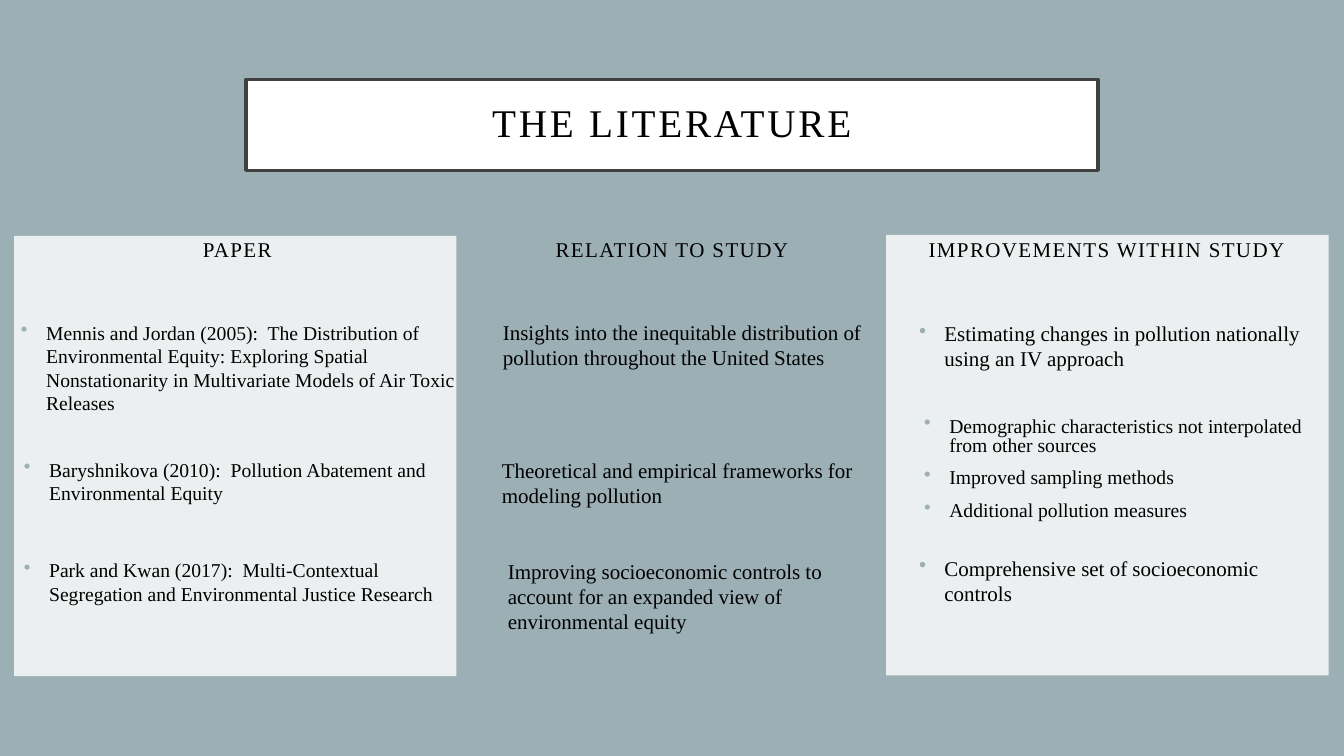
from dataclasses import dataclass

from lxml import etree
from pptx import Presentation
from pptx.dml.color import RGBColor
from pptx.enum.shapes import MSO_SHAPE
from pptx.enum.text import MSO_ANCHOR, PP_ALIGN
from pptx.oxml.ns import qn
from pptx.util import Inches, Pt

RECT = MSO_SHAPE.RECTANGLE
CENTER, LEFT = PP_ALIGN.CENTER, PP_ALIGN.LEFT
TOP, MIDDLE, BOTTOM = MSO_ANCHOR.TOP, MSO_ANCHOR.MIDDLE, MSO_ANCHOR.BOTTOM
COLS, ROWS = 96, 54


@dataclass(frozen=True)
class Theme:
    font: str = "Times New Roman"
    back: str = "9BAFB5"
    panel: str = "EBEFF0"
    white: str = "FFFFFF"
    edge: str = "404040"
    ink: str = "000000"
    title: int = 28
    large: int = 15
    small: int = 14


class Deck:
    """Draw styled elements on one slide, placed by columns and rows."""

    def __init__(self, theme):
        self.theme = theme
        self.show = Presentation()
        self.show.slide_width = Inches(13.33)
        self.show.slide_height = Inches(7.5)
        self.slide = self.show.slides.add_slide(self.show.slide_layouts[6])
        self.paint(self.slide.background.fill, theme.back)

    def paint(self, fill, color):
        fill.solid()
        fill.fore_color.rgb = RGBColor.from_string(color)

    def cells(self, x, y, w, h):
        col = self.show.slide_width / COLS
        row = self.show.slide_height / ROWS
        return [round(n) for n in (x * col, y * row, w * col, h * row)]

    def block(self, box, color):
        shape = self.slide.shapes.add_shape(RECT, *self.cells(*box))
        shape.shadow.inherit = False
        self.paint(shape.fill, color)
        shape.line.fill.background()
        return shape

    def run(self, para, text, size, track=0):
        run = para.add_run()
        run.text = text
        font = run.font
        font.name = self.theme.font
        font.size = Pt(size)
        font.color.rgb = RGBColor.from_string(self.theme.ink)
        if track:
            font._element.set("spc", str(track * 100))

    def title(self, box, text):
        shape = self.block(box, self.theme.white)
        self.paint(shape.line.fill, self.theme.edge)
        shape.line.width = Pt(2.5)
        frame = shape.text_frame
        frame.word_wrap = True
        frame.vertical_anchor = MIDDLE
        frame.margin_left = frame.margin_right = Inches(0.2)
        frame.margin_top = frame.margin_bottom = Inches(0.2)
        para = frame.paragraphs[0]
        para.alignment = CENTER
        para.line_spacing = 0.9
        self.run(para, text, self.theme.title, 2)

    def frame(self, box, anchor):
        frame = self.slide.shapes.add_textbox(*self.cells(*box)).text_frame
        frame.word_wrap = True
        frame.vertical_anchor = anchor
        return frame

    def head(self, box, text):
        para = self.frame(box, BOTTOM).paragraphs[0]
        para.alignment = CENTER
        self.run(para, text, self.theme.large, 1)

    def indent(self, para, mark):
        props = para._p.get_or_add_pPr()
        props.set("marL", str(Inches(0.25)))
        if mark:
            props.set("indent", str(-Inches(0.25)))
            color = etree.SubElement(props, qn("a:buClr"))
            etree.SubElement(color, qn("a:srgbClr")).set("val", self.theme.back)
            etree.SubElement(props, qn("a:buChar")).set("char", "•")

    def items(self, box, texts, size, mark=True, pitch=None):
        frame = self.frame(box, TOP)
        for i, text in enumerate(texts):
            para = frame.add_paragraph() if i else frame.paragraphs[0]
            para.alignment = LEFT
            if pitch:
                para.line_spacing = pitch
            if i:
                para.space_before = Pt(10)
            self.indent(para, mark)
            self.run(para, text, size)

    def save(self):
        self.show.save("out.pptx")


def main():
    theme = Theme()
    deck = Deck(theme)
    small, large = theme.small, theme.large

    for x, y in ((1, 16.85), (63.3, 16.78)):
        deck.block((x, y, 31.6, 31.46), theme.panel)
    deck.title((17.57, 5.69, 60.85, 6.48), "THE LITERATURE")

    heads = ("PAPER", "RELATION TO STUDY", "IMPROVEMENTS WITHIN STUDY")
    for i, text in enumerate(heads):
        deck.head((0.15 + 31.05 * i, 13.54, 33.6, 5.54), text)

    papers = (
        (0.79, 22.54, 33.48, "Mennis and Jordan (2005):  The Distribution of "
         "Environmental Equity: Exploring Spatial Nonstationarity in "
         "Multivariate Models of Air Toxic Releases"),
        (1, 32.33, 33.6, "Baryshnikova (2010):  Pollution Abatement and "
         "Environmental Equity"),
        (1, 39.53, 32.26, "Park and Kwan (2017):  Multi-Contextual "
         "Segregation and Environmental Justice Research"),
    )
    links = (
        (33.41, 22.46, 29.1, "Insights into the inequitable distribution of "
         "pollution throughout the United States"),
        (33.34, 32.33, 29.1, "Theoretical and empirical frameworks for "
         "modeling pollution"),
        (33.77, 39.53, 28.5, "Improving socioeconomic controls to account "
         "for an expanded view of environmental equity"),
    )
    gains = (
        (64.95, 22.54, 30.2, "Estimating changes in pollution nationally "
         "using an IV approach"),
        (64.95, 39.3, 28.5, "Comprehensive set of socioeconomic controls"),
    )
    for group, size, mark in ((papers, small, True), (links, large, False),
                              (gains, large, True)):
        for x, y, w, text in group:
            deck.items((x, y, w, 5.54), [text], size, mark)

    data = ("Demographic characteristics not interpolated from other sources",
            "Improved sampling methods", "Additional pollution measures")
    deck.items((65.3, 29.52, 28.5, 8.42), data, small, pitch=0.8)
    deck.save()


if __name__ == "__main__":
    main()
